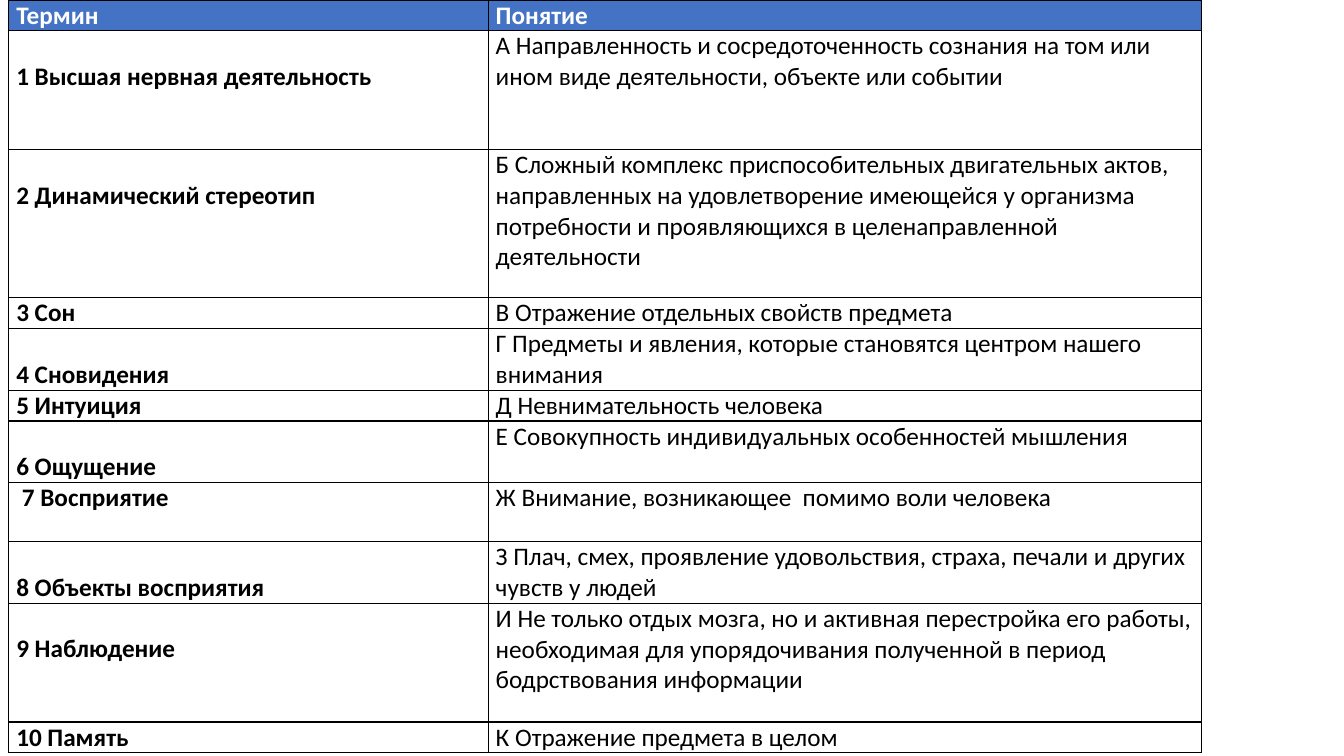
"""Build a slide with a two-column table of psychology terms and definitions."""
from dataclasses import dataclass

from lxml import etree
from pptx import Presentation
from pptx.dml.color import RGBColor
from pptx.oxml.ns import qn
from pptx.util import Pt


@dataclass(frozen=True)
class Theme:
    font: str = "Calibri"
    size: int = 18
    line: float = 21.9
    header_fill: str = "4472C4"
    header_text: str = "FFFFFF"
    body_fill: str = "FFFFFF"
    body_text: str = "000000"
    border: str = "000000"


theme = Theme()
BORDER_SIDES = ("a:lnL", "a:lnR", "a:lnT", "a:lnB")
COLUMN_WIDTHS = (342.5, 509.5)

# height, lines above the term, term, definition
ROWS = [
    (21.2, 0, "Термин", "Понятие"),
    (84.8, 1, "1 Высшая нервная деятельность",
     "А Направленность и сосредоточенность сознания на том или ином виде "
     "деятельности, объекте или событии"),
    (106, 1, "2 Динамический стереотип",
     "Б Сложный комплекс приспособительных двигательных актов, направленных "
     "на удовлетворение имеющейся у организма потребности и проявляющихся "
     "в целенаправленной деятельности"),
    (21.2, 0, "3 Сон", "В Отражение отдельных свойств предмета"),
    (42.4, 1, "4 Сновидения",
     "Г Предметы и явления, которые становятся центром нашего внимания"),
    (21.2, 0, "5 Интуиция", "Д Невнимательность человека"),
    (42.4, 1, "6 Ощущение",
     "Е Совокупность индивидуальных особенностей мышления"),
    (42.4, 0, "\u00a07 Восприятие",
     "Ж Внимание, возникающее\u00a0\u00a0помимо воли человека"),
    (42.4, 1, "8 Объекты восприятия",
     "З Плач, смех, проявление удовольствия, страха, печали и других чувств "
     "у людей"),
    (84.8, 1, "9 Наблюдение",
     "И Не только отдых мозга, но и активная перестройка его работы, "
     "необходимая для упорядочивания полученной в период бодрствования "
     "информации"),
    (21.2, 0, "10 Память", "К Отражение предмета в целом"),
]


def add_borders(cell):
    properties = cell._tc.get_or_add_tcPr()
    for index, side in enumerate(BORDER_SIDES):
        line = etree.Element(qn(side), w=str(Pt(1)))
        fill = etree.SubElement(line, qn("a:solidFill"))
        etree.SubElement(fill, qn("a:srgbClr"), val=theme.border)
        properties.insert(index, line)


deck = Presentation()
deck.slide_width, deck.slide_height = Pt(960), Pt(540)
page = deck.slides.add_slide(deck.slide_layouts[6])

total_height = sum(row[0] for row in ROWS)
frame = page.shapes.add_table(len(ROWS), len(COLUMN_WIDTHS), Pt(6.25), Pt(0),
                              Pt(sum(COLUMN_WIDTHS)), Pt(total_height))
table = frame.table
for column, width in zip(table.columns, COLUMN_WIDTHS):
    column.width = Pt(width)

for row_index, (height, lines_above, *texts) in enumerate(ROWS):
    table.rows[row_index].height = Pt(height)
    is_header = row_index == 0
    for column_index, text in enumerate(texts):
        is_term = column_index == 0
        cell = table.cell(row_index, column_index)
        cell.margin_left = cell.margin_right = Pt(5.4)
        cell.margin_top = Pt(theme.line * lines_above if is_term else 0)
        cell.margin_bottom = Pt(0)
        cell.fill.solid()
        cell.fill.fore_color.rgb = RGBColor.from_string(
            theme.header_fill if is_header else theme.body_fill)
        add_borders(cell)
        cell.text = text
        font = cell.text_frame.paragraphs[0].font
        font.name, font.size = theme.font, Pt(theme.size)
        font.bold = is_header or is_term
        font.color.rgb = RGBColor.from_string(
            theme.header_text if is_header else theme.body_text)

deck.save("out.pptx")
